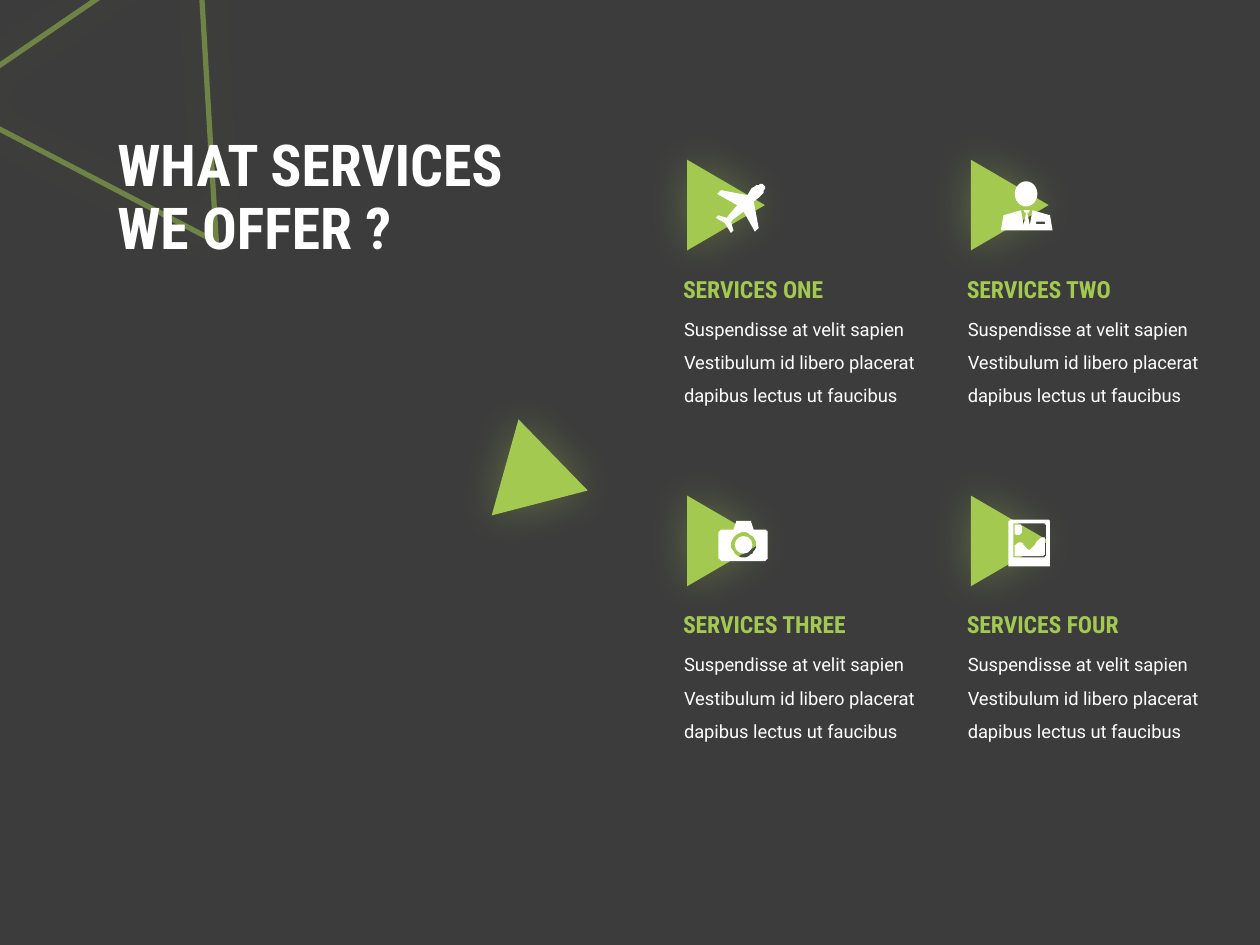
import lxml.etree
import pptx
import pptx.dml.color
import pptx.enum.shapes
import pptx.enum.text
import pptx.oxml.ns
import pptx.util

Cm, Pt = pptx.util.Cm, pptx.util.Pt
SHAPE = pptx.enum.shapes.MSO_SHAPE
AUTO = pptx.enum.text.MSO_AUTO_SIZE
GREEN, WHITE, DARK = "A3C951", "FFFFFF", "3C3C3C"
BODY = ("Suspendisse at velit sapien Vestibulum id libero placerat "
        "dapibus lectus ut faucibus")

# Grid of services
LEFT, TOP, COL_STEP, ROW_STEP = 13.72, 3.35, 5.72, 6.77
UNIT = 0.0254  # cm per icon unit, measured from the cell's corner

# Icon contours: a pair is a corner, six numbers are a Bezier curve
PLANE = [[(66, 15), (64, 13, 60, 15, 56, 18), (53, 23), (32, 19), (29, 22),
          (45, 31), (38, 39), (38, 40, 37, 40, 37, 41), (30, 39), (28, 41),
          (35, 45), (40, 53), (42, 51), (40, 44), (41, 44, 41, 43, 42, 42),
          (50, 36), (59, 52), (62, 49), (58, 28), (62, 25),
          (66, 21, 68, 17, 66, 15)]]
SUIT = [[(68, 39), (54, 35), (52, 47), (50, 37), (51, 37), (52, 35), (47, 35),
         (48, 37), (49, 37), (47, 47), (45, 35), (31, 39), (29, 51), (70, 51)],
        [(64, 46), (57, 46), (57, 44), (64, 44)]]
CAMERA = [[(66, 22), (58, 22), (56, 16), (56, 15, 56, 15, 55, 15), (45, 15),
           (44, 15, 44, 15, 44, 16), (42, 22), (33, 22),
           (32, 22, 30, 23, 30, 25), (30, 44), (30, 45, 32, 47, 33, 47),
           (66, 47), (68, 47, 69, 45, 69, 44), (69, 25),
           (69, 23, 68, 22, 66, 22)],
          [(50, 44), (44, 44, 40, 39, 40, 34), (40, 28, 44, 24, 50, 24),
           (55, 24, 60, 28, 60, 34), (60, 39, 55, 44, 50, 44)]]
HILLS = [[(64, 28), (59, 27, 55, 37, 52, 38), (49, 38, 48, 32, 44, 32),
          (43, 32, 41, 33, 40, 35), (40, 41), (40, 42, 40, 43, 41, 43),
          (62, 43), (63, 43, 64, 42, 64, 41)]]
SUN = [[(46, 22), (46, 20, 46, 19, 44, 18), (41, 18), (40, 18, 40, 18, 40, 20),
        (40, 25), (40, 25, 41, 26, 42, 26), (45, 26, 46, 24, 46, 22)]]
FRAME = [[(67, 14), (37, 14), (36, 14, 35, 15, 35, 16), (35, 50),
          (35, 51, 36, 51, 37, 51), (67, 51), (67, 51, 68, 51, 68, 50),
          (68, 16), (68, 15, 67, 14, 67, 14)],
         [(65, 28), (65, 42), (65, 43, 64, 44, 63, 44), (40, 44),
          (39, 44, 39, 43, 39, 42), (39, 19), (39, 18, 39, 17, 40, 17),
          (63, 17), (64, 17, 65, 18, 65, 19)]]

# Heading, outlines, oval (left, top, width, height)
SERVICES = [
    ("SERVICES ONE", [PLANE], None),
    ("SERVICES TWO", [SUIT], (40, 12, 18, 20)),
    ("SERVICES THREE", [CAMERA], (43, 27, 14, 14)),
    ("SERVICES FOUR", [HILLS, SUN, FRAME], None),
]


def rgb(value):
    return pptx.dml.color.RGBColor.from_string(value)


def add_alpha(color, percent):
    tag = pptx.oxml.ns.qn("a:alpha")
    lxml.etree.SubElement(color, tag).set("val", str(percent * 1000))


def fill_plain(sp, color):
    sp.shadow.inherit = False
    sp.fill.solid()
    sp.fill.fore_color.rgb = rgb(color)
    sp.line.fill.background()


def add_glow(sp):
    """Give a shape a soft green shadow without offset."""
    qn = pptx.oxml.ns.qn
    sp.shadow.inherit = False
    effects = sp._element.spPr.find(qn("a:effectLst"))
    shadow = lxml.etree.SubElement(effects, qn("a:outerShdw"))
    for name, value in (("blurRad", Pt(25)), ("dist", 0), ("dir", 0),
                        ("algn", "ctr"), ("rotWithShape", 0)):
        shadow.set(name, str(int(value) if name != "algn" else value))
    color = lxml.etree.SubElement(shadow, qn("a:srgbClr"))
    color.set("val", GREEN)
    add_alpha(color, 35)


def add_triangle(slide, x, y, w, h, rotation):
    sp = slide.shapes.add_shape(SHAPE.ISOSCELES_TRIANGLE,
                                Cm(x), Cm(y), Cm(w), Cm(h))
    sp.rotation = rotation
    fill_plain(sp, GREEN)
    add_glow(sp)
    return sp


def add_run(p, text, size, font, color, bold=False):
    r = p.add_run()
    r.text = text
    r.font.size, r.font.name, r.font.bold = Pt(size), font, bold
    r.font.color.rgb = rgb(color)


def add_text(slide, x, y, w, h, text, size, font, color, bold=False, spacing=1):
    tf = slide.shapes.add_textbox(Cm(x), Cm(y), Cm(w), Cm(h)).text_frame
    tf.word_wrap = True
    tf.auto_size = AUTO.SHAPE_TO_FIT_TEXT
    p = tf.paragraphs[0]
    p.line_spacing = spacing
    add_run(p, text, size, font, color, bold)


def flatten(contour, steps=8):
    """Turn corners and Bezier curves into a list of points."""
    points = []
    for part in contour:
        if len(part) == 2:
            points.append(part)
            continue
        x0, y0 = points[-1]
        x1, y1, x2, y2, x3, y3 = part
        for i in range(1, steps + 1):
            t = i / steps
            a, b, c, d = (1 - t)**3, 3*t*(1 - t)**2, 3*t*t*(1 - t), t**3
            points.append((a*x0 + b*x1 + c*x2 + d*x3,
                           a*y0 + b*y1 + c*y2 + d*y3))
    return points


def add_outline(shapes, x, y, contours):
    first, *holes = [flatten(c) for c in contours]
    builder = shapes.build_freeform(*first[0], scale=Cm(UNIT))
    builder.add_line_segments(first[1:], close=True)
    for hole in holes:
        builder.move_to(*hole[0])
        builder.add_line_segments(hole[1:], close=True)
    fill_plain(builder.convert_to_shape(Cm(x), Cm(y)), WHITE)


def add_icon(slide, x, y, outlines, oval):
    shapes = slide.shapes
    if oval or len(outlines) > 1:
        shapes = shapes.add_group_shape().shapes
    for contours in outlines:
        add_outline(shapes, x, y, contours)
    if oval:
        left, top, w, h = (v * UNIT for v in oval)
        fill_plain(shapes.add_shape(SHAPE.OVAL, Cm(x + left), Cm(y + top),
                                    Cm(w), Cm(h)), WHITE)


def add_service(slide, x, y, heading, outlines, oval):
    add_triangle(slide, x, y, 1.83, 1.57, 90)
    add_text(slide, x - 0.18, y + 2.71, 5.36, 2.21, BODY, 10.5, "Roboto",
             WHITE, spacing=1.5)
    add_text(slide, x - 0.2, y + 2.06, 4.67, 0.84, heading, 13.5,
             "Roboto Condensed", GREEN, bold=True)
    add_icon(slide, x, y, outlines, oval)


def add_title(slide, lines):
    sp = slide.shapes.title
    sp.left, sp.top, sp.width, sp.height = Cm(2.11), Cm(2.01), Cm(10.72), Cm(4.01)
    tf = sp.text_frame
    tf.auto_size = AUTO.NONE
    tf.vertical_anchor = pptx.enum.text.MSO_ANCHOR.MIDDLE
    p = tf.paragraphs[0]
    p.alignment = pptx.enum.text.PP_ALIGN.LEFT
    p.line_spacing = 0.9
    for i, line in enumerate(lines):
        if i:
            p.add_line_break()
        add_run(p, line, 33, "Roboto Condensed", WHITE, bold=True)


def add_corner_triangle(slide):
    sp = add_triangle(slide, -1.6, -0.74, 6.3, 5.26, 266.6)
    sp.fill.background()
    sp.line.color.rgb = rgb(GREEN)
    sp.line.width = Pt(3)
    add_alpha(sp.line._ln.find(".//" + pptx.oxml.ns.qn("a:srgbClr")), 50)
    # Keep the outline behind the title
    tree = slide.shapes._spTree
    tree.remove(sp._element)
    tree.insert(2, sp._element)


def main():
    prs = pptx.Presentation()
    prs.slide_width, prs.slide_height = Cm(25.4), Cm(19.05)
    slide = prs.slides.add_slide(prs.slide_layouts[0])
    subtitle = slide.placeholders[1]._element
    subtitle.getparent().remove(subtitle)
    slide.background.fill.solid()
    slide.background.fill.fore_color.rgb = rgb(DARK)

    # Title and decoration
    add_corner_triangle(slide)
    add_title(slide, ["WHAT SERVICES", "WE OFFER ?"])
    add_triangle(slide, 10.01, 8.79, 2.01, 1.73, 105.6)

    # Two by two services
    for i, service in enumerate(SERVICES):
        row, col = divmod(i, 2)
        add_service(slide, LEFT + col * COL_STEP, TOP + row * ROW_STEP, *service)

    prs.save("out.pptx")


if __name__ == "__main__":
    main()
